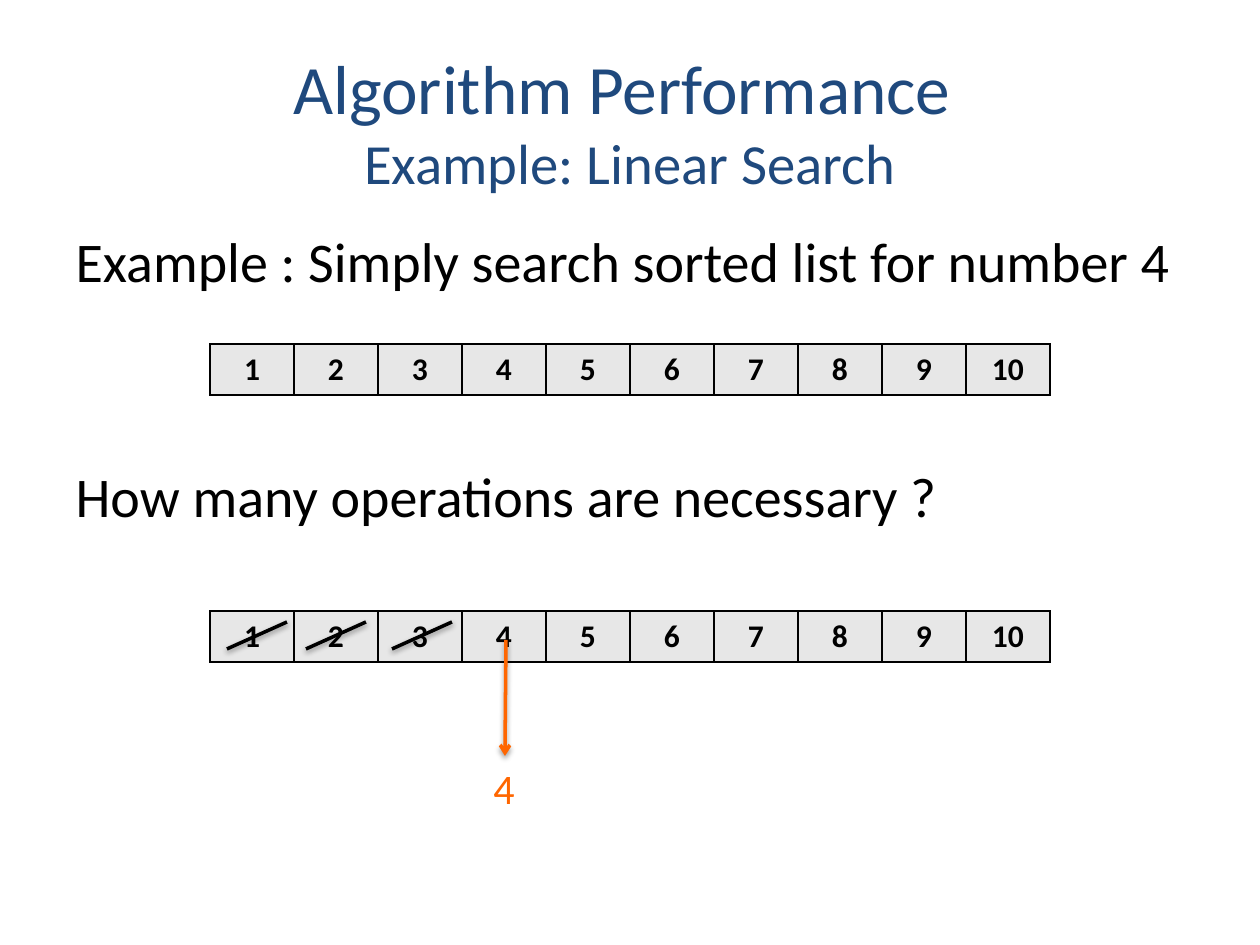
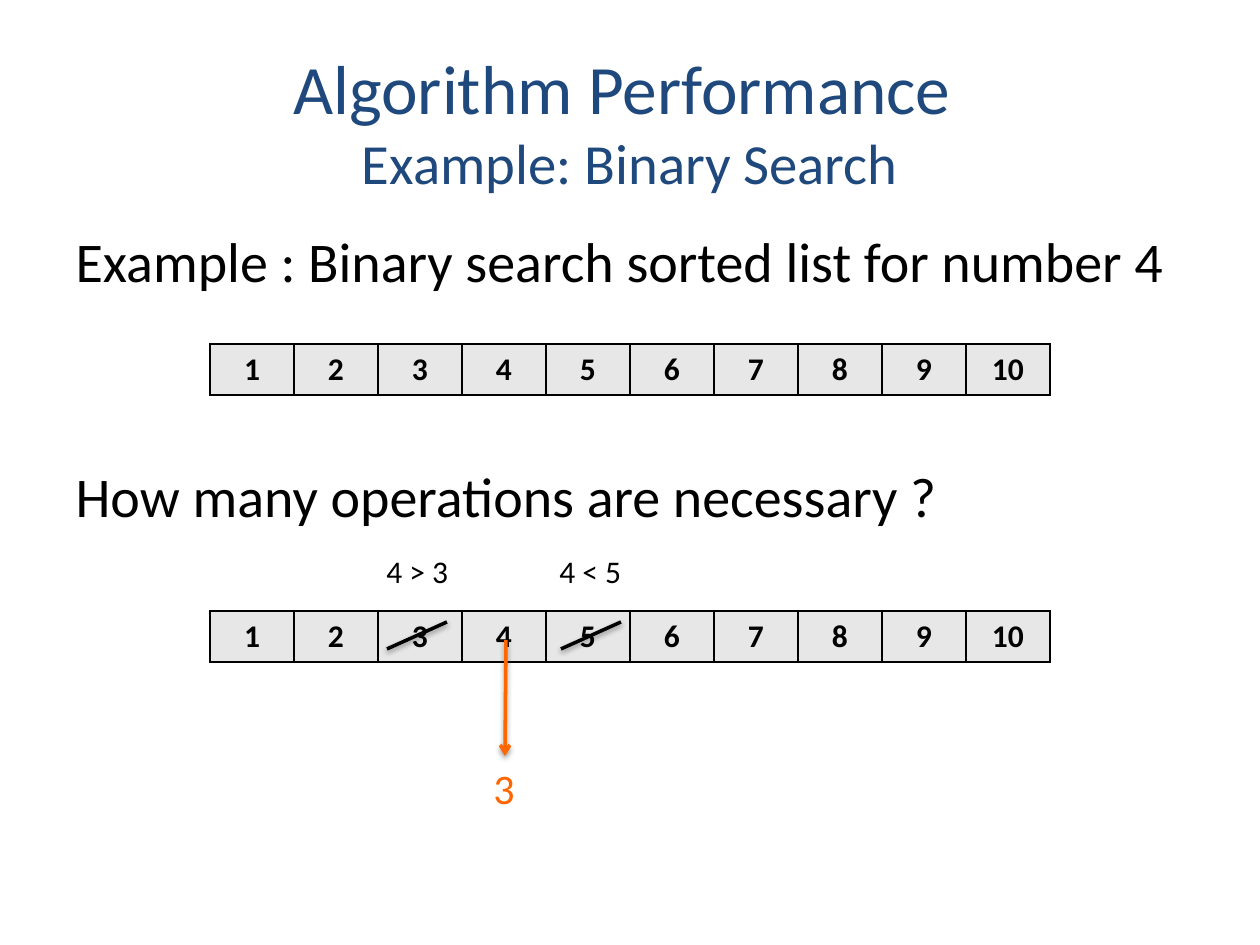
import copy

import lxml.etree
import pptx
import pptx.dml.color
import pptx.enum.shapes
import pptx.enum.text
import pptx.oxml.ns
import pptx.util

PX = 914400 // 126
COLORS = {"title": "1F497D", "text": "000000", "cell": "E7E7E7", "accent": "FF6600"}
FONT = "Calibri"
NUMBERS = range(1, 11)
FORMATS = {
    "title": {"size": 39.6, "color": "title"},
    "subtitle": {"size": 32.4, "color": "title"},
    "body": {"size": 32, "color": "text"},
    "cell": {"size": 18, "color": "text", "bold": True},
    "note": {"size": 18, "color": "text"},
    "result": {"size": 24, "color": "accent"},
}
ALIGN = pptx.enum.text.PP_ALIGN
AUTO = pptx.enum.text.MSO_AUTO_SIZE
TITLE_BOX = (63, 38, 1134, 157)
BODY_BOX = (63, 220, 1134, 624)
LIST_BOX = (210, 344, 840, 51)
SEARCH_BOX = (210, 611, 840, 51)


def emu(*lengths):
    return [round(v * PX) for v in lengths]


def rgb(name):
    return pptx.dml.color.RGBColor.from_string(COLORS[name])


def sub(parent, tag, **attrs):
    return lxml.etree.SubElement(parent, pptx.oxml.ns.qn(tag), attrs)


def place(shape, box):
    for name, value in zip(("left", "top", "width", "height"), emu(*box)):
        setattr(shape, name, value)


def add_text(p, text, style):
    r = p.add_run()
    r.text = text
    values = dict(FORMATS[style], name=FONT)
    r.font.color.rgb = rgb(values.pop("color"))
    values["size"] = pptx.util.Pt(values["size"])
    for name, value in values.items():
        setattr(r.font, name, value)
    return r


def add_title(s, box, subtitle):
    sp = s.shapes.title
    place(sp, box)
    tf = sp.text_frame
    settings = {
        "auto_size": AUTO.NONE,
        "vertical_anchor": pptx.enum.text.MSO_ANCHOR.MIDDLE,
        "margin_top": 8 * PX,
        "margin_bottom": 0,
    }
    for name, value in settings.items():
        setattr(tf, name, value)
    p = tf.paragraphs[0]
    p.alignment = ALIGN.CENTER
    r = add_text(p, "Algorithm Performance ", "title")
    p.add_line_break()
    p._p[-1].append(copy.deepcopy(r._r.rPr))
    add_text(p, subtitle, "subtitle")


def add_body(s, box, lines):
    sp = s.placeholders[1]
    place(sp, box)
    tf = sp.text_frame
    tf.auto_size = AUTO.NONE
    for i, line in enumerate(lines):
        p = tf.add_paragraph() if i else tf.paragraphs[0]
        if i:
            p.space_before = pptx.util.Pt(96)
        pPr = p._p.get_or_add_pPr()
        for name in ("marL", "indent"):
            pPr.set(name, "0")
        sub(pPr, "a:buNone")
        add_text(p, line, "body")


def add_border(cell):
    tcPr = cell._tc.get_or_add_tcPr()
    for side in "LRTB":
        ln = sub(tcPr, f"a:ln{side}", w="12700")
        sub(sub(ln, "a:solidFill"), "a:srgbClr", val=COLORS["text"])


def add_list(s, box):
    table = s.shapes.add_table(1, len(NUMBERS), *emu(*box)).table
    table.first_row = table.horz_banding = False
    for cell, number in zip(table.iter_cells(), NUMBERS):
        add_border(cell)
        cell.fill.solid()
        cell.fill.fore_color.rgb = rgb("cell")
        p = cell.text_frame.paragraphs[0]
        p.alignment = ALIGN.CENTER
        add_text(p, str(number), "cell")


def add_line(s, ends, color, arrow=False):
    c = s.shapes.add_connector(pptx.enum.shapes.MSO_CONNECTOR.STRAIGHT, *emu(*ends))
    c.line.color.rgb = rgb(color)
    c.line.width = pptx.util.Pt(2)
    spPr = c._element.spPr
    if arrow:
        sub(spPr.find(pptx.oxml.ns.qn("a:ln")), "a:tailEnd", type="arrow")
    shadow = sub(sub(spPr, "a:effectLst"), "a:outerShdw", blurRad="40000",
                 dist="20000", dir="5400000", rotWithShape="0")
    sub(sub(shadow, "a:srgbClr", val=COLORS["text"]), "a:alpha", val="38000")


def add_label(s, box, text, style):
    tf = s.shapes.add_textbox(*emu(*box)).text_frame
    tf.word_wrap = False
    tf.auto_size = AUTO.SHAPE_TO_FIT_TEXT
    add_text(tf.paragraphs[0], text, style)


def add_search(s, box, strikes, comparisons, operations):
    x, y, w, h = box
    add_list(s, box)
    for dx in strikes:
        add_line(s, (x + dx, y + 38, x + dx + 60, y + 11), "text")
    add_line(s, (x + 296, y + 29, x + 295, y + 145), "accent", arrow=True)
    add_label(s, (x + 271, y + 145, 47, 63), operations, "result")
    for dx, text in comparisons:
        add_label(s, (x + dx, y - 65, 88, 50), text, "note")


def add_slide(prs, subtitle, method, strikes, comparisons, operations):
    s = prs.slides.add_slide(prs.slide_layouts[1])
    add_title(s, TITLE_BOX, subtitle)
    add_body(s, BODY_BOX, [
        f"Example : {method} search sorted list for number 4",
        "How many operations are necessary ?",
    ])
    add_list(s, LIST_BOX)
    add_search(s, SEARCH_BOX, strikes, comparisons, operations)


prs = pptx.Presentation()
prs.slide_width, prs.slide_height = emu(1260, 945)
add_slide(prs, "Example: Linear Search", "Simply", (17, 96, 182), (), "4")
add_slide(prs, "Example: Binary Search", "Binary", (177, 351),
          ((164, "4 > 3"), (337, "4 < 5")), "3")
prs.save("out.pptx")
